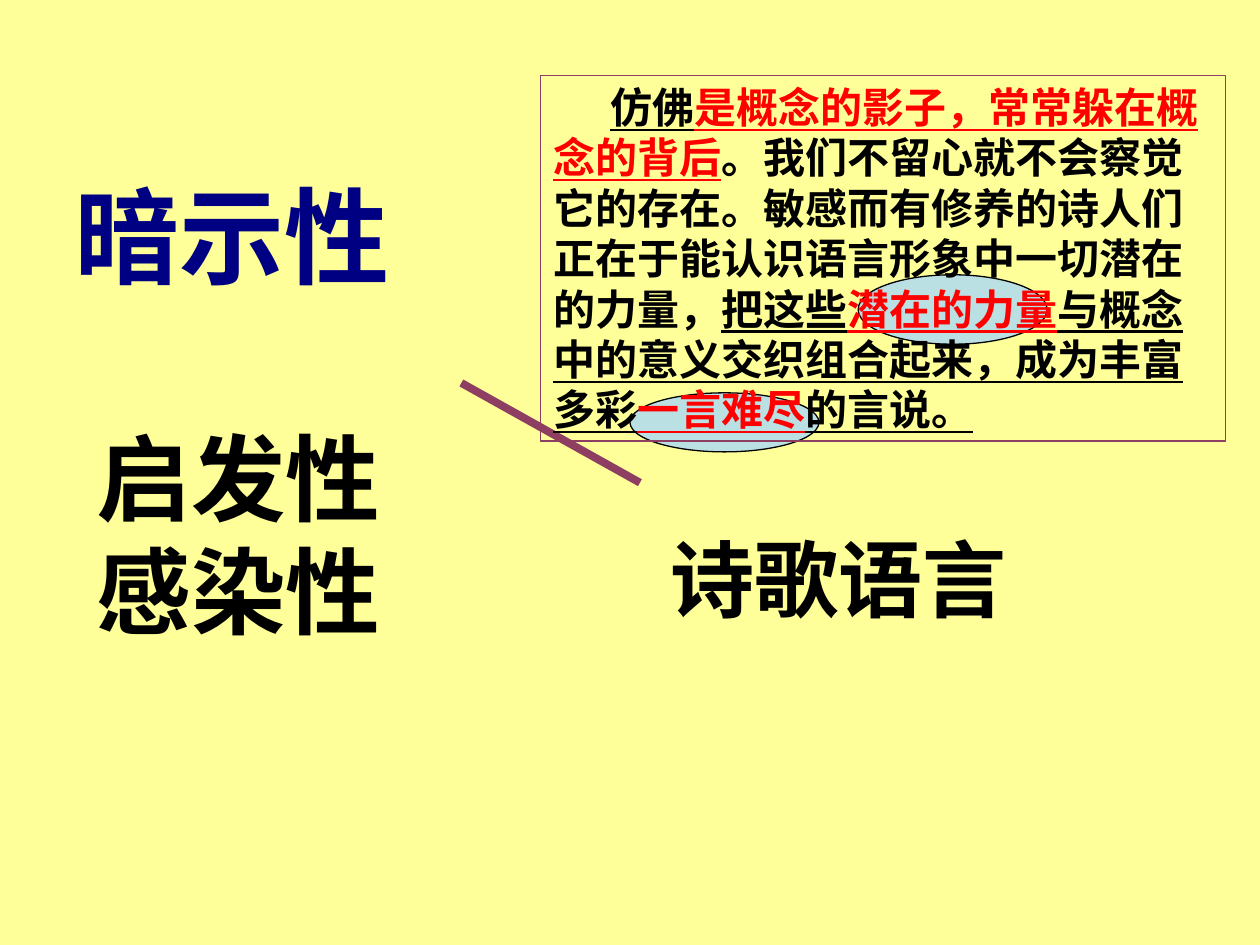
"""Build a slide on the suggestive power of poetic language."""
from dataclasses import dataclass
from typing import NamedTuple

from lxml import etree
from pptx import Presentation
from pptx.dml.color import RGBColor
from pptx.enum import shapes, text
from pptx.oxml import ns
from pptx.util import Cm, Pt


@dataclass(frozen=True)
class Theme:
    background: str = "FFFF99"
    ink: str = "000000"
    title: str = "000082"
    accent: str = "FF0000"
    rule: str = "8E3E60"
    bubble: str = "BBE0E3"
    latin: str = "Arial"
    cjk: str = "Noto Sans CJK SC"
    title_size: int = 60
    list_size: int = 54
    label_size: int = 48
    quote_size: int = 24
    thin: float = 0.75
    thick: float = 4.5


class Box(NamedTuple):
    left: float
    top: float
    width: float
    height: float

    def lengths(self) -> list:
        return [Cm(v) for v in self]


class Span(NamedTuple):
    words: str
    color: str
    underline: bool = False


THEME = Theme()
BUBBLES = [Box(12.7, 7.92, 3.81, 1.19), Box(17.3, 5.54, 3.81, 1.4)]
TITLE_BOX = Box(1.5, 3.33, 6.6, 3.4)
LIST_BOX = Box(1.95, 8.33, 5.95, 8.56)
LABEL_BOX = Box(12.9, 10.52, 8, 5.79)
QUOTE_BOX = Box(10.9, 1.52, 13.8, 7.37)
QUALITIES = ["启发性", "感染性"]
QUOTE = [
    Span("仿佛", THEME.ink, True),
    Span("是概念的影子，常常躲在概念的背后", THEME.accent, True),
    Span("。我们不留心就不会察觉它的存在。敏感而有修养的诗人们"
         "正在于能认识语言形象中一切潜在的力量，", THEME.ink),
    Span("把这些", THEME.ink, True),
    Span("潜在的力量", THEME.accent, True),
    Span("与概念中的意义交织组合起来，成为丰富多彩", THEME.ink, True),
    Span("一言难尽", THEME.accent, True),
    Span("的言说。", THEME.ink, True),
]


def rgb(value: str) -> RGBColor:
    """Turn a hex string into a colour."""
    return RGBColor.from_string(value)


def add_run(p, span: Span, size: int, latin: str) -> None:
    """Append one bold run in the given style."""
    r = p.add_run()
    r.text = span.words
    r.font.size = Pt(size)
    r.font.bold = True
    r.font.underline = span.underline
    r.font.color.rgb = rgb(span.color)
    r.font.name = latin
    ea = etree.SubElement(r._r.get_or_add_rPr(), ns.qn("a:ea"))
    ea.set("typeface", THEME.cjk)


def set_text(sp, paragraphs: list[list[Span]], size: int, latin: str = THEME.cjk,
             margin: float = 0, indent: float = 0,
             align: text.PP_ALIGN = text.PP_ALIGN.LEFT) -> None:
    """Fill a shape with paragraphs from the top."""
    tf = sp.text_frame
    tf.word_wrap = True
    tf.auto_size = text.MSO_AUTO_SIZE.NONE
    tf.vertical_anchor = text.MSO_ANCHOR.TOP
    tf.margin_left = tf.margin_right = Cm(margin)
    for i, spans in enumerate(paragraphs):
        p = tf.add_paragraph() if i else tf.paragraphs[0]
        p.alignment = align
        p.space_before = Pt(0)
        pPr = p._p.get_or_add_pPr()
        pPr.set("marL", "0")
        pPr.set("indent", str(Cm(indent)))
        etree.SubElement(pPr, ns.qn("a:buNone"))
        for span in spans:
            add_run(p, span, size, latin)


def place(sp, box: Box) -> None:
    """Move and size a placeholder."""
    sp.left, sp.top, sp.width, sp.height = box.lengths()


def add_outlined(s, kind, box: Box, line: str, fill: str | None = None):
    """Draw a thin-lined shape, hollow unless a fill is given."""
    sp = s.shapes.add_shape(kind, *box.lengths())
    sp.shadow.inherit = False
    sp.line.color.rgb = rgb(line)
    sp.line.width = Pt(THEME.thin)
    if fill:
        sp.fill.solid()
        sp.fill.fore_color.rgb = rgb(fill)
    else:
        sp.fill.background()
    return sp


def add_rule(s, start: tuple[float, float], end: tuple[float, float]) -> None:
    """Draw a thick straight line without shadow."""
    line = s.shapes.add_connector(shapes.MSO_CONNECTOR.STRAIGHT,
                                  *(Cm(v) for v in start + end))
    line.line.color.rgb = rgb(THEME.rule)
    line.line.width = Pt(THEME.thick)
    etree.SubElement(line._element.spPr, ns.qn("a:effectLst"))


def main() -> None:
    """Build and save the slide."""
    prs = Presentation()
    prs.slide_width, prs.slide_height = Cm(25.4), Cm(19.05)
    s = prs.slides.add_slide(prs.slide_layouts[1])
    s.background.fill.solid()
    s.background.fill.fore_color.rgb = rgb(THEME.background)

    for box in BUBBLES:
        add_outlined(s, shapes.MSO_SHAPE.OVAL, box, THEME.ink, THEME.bubble)

    title, body = s.shapes.title, s.placeholders[1]
    place(title, TITLE_BOX)
    set_text(title, [[Span("暗示性", THEME.title)]], THEME.title_size)
    add_rule(s, (9.3, 7.72), (12.9, 9.73))

    label = s.shapes.add_textbox(*LABEL_BOX.lengths())
    set_text(label, [[Span("诗歌语言", THEME.ink)]], THEME.label_size,
             align=text.PP_ALIGN.CENTER)

    quote = add_outlined(s, shapes.MSO_SHAPE.RECTANGLE, QUOTE_BOX, THEME.rule)
    set_text(quote, [QUOTE], THEME.quote_size, THEME.latin, margin=0.25, indent=1.15)

    place(body, LIST_BOX)
    set_text(body, [[Span(q, THEME.ink)] for q in QUALITIES], THEME.list_size)
    prs.save("out.pptx")


if __name__ == "__main__":
    main()
